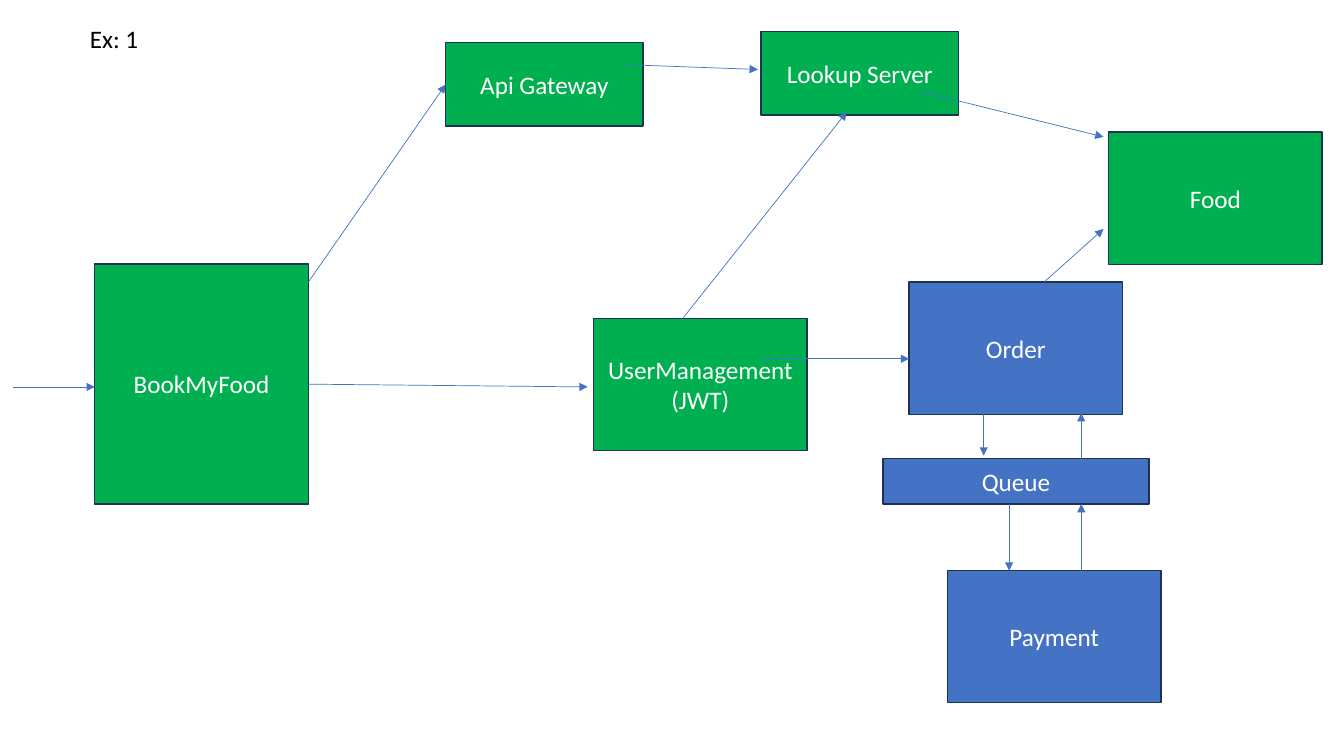
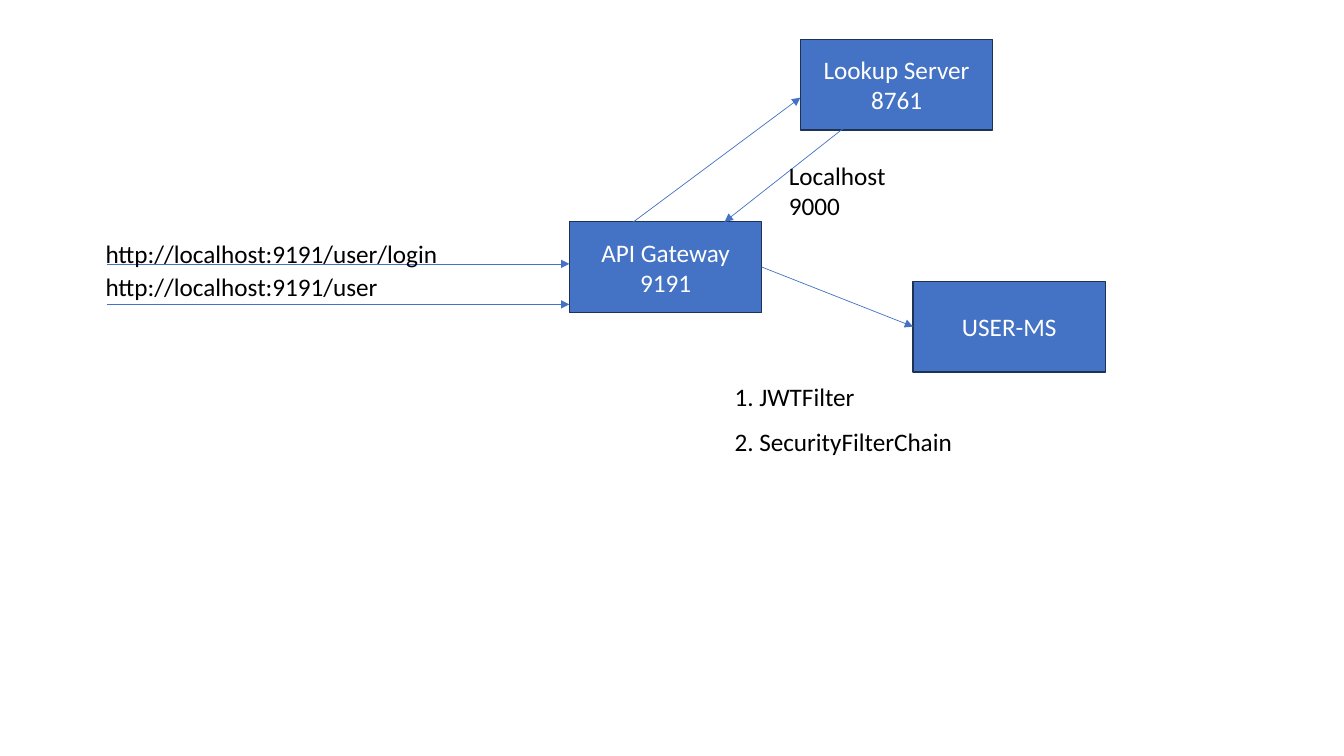
from dataclasses import dataclass
from pptx import Presentation
from pptx import util as u
from pptx.dml.color import RGBColor
from pptx.enum import shapes, text
from pptx.oxml import ns
from lxml import etree


@dataclass(frozen=True)
class Theme:
    green: str = "00B050"
    blue: str = "4472C4"
    edge: str = "1E3256"
    white: str = "FFFFFF"
    black: str = "000000"
    font: str = "Calibri"
    size: int = 18
    border: float = 1
    arrow: float = 0.5
    gap: float = 10.6
    indent: float = 0.62


LOOK = Theme()
NODE, SERVER, PORT = (5.38, 3.33), (4.98, 2.11), (4.85, 2.29)

SERVICES = dict(
    layout=5,
    title=("Ex: 1", (2.01, 0.46, 6.76, 1.02)),
    boxes=[
        ("UserManagement\n(JWT)", LOOK.green, (14.96, 8.03), NODE),
        ("Lookup Server", LOOK.green, (19.18, 0.79), SERVER),
        ("Api Gateway", LOOK.green, (11.23, 1.07), SERVER),
        ("Food", LOOK.green, (27.94, 3.33), NODE),
        ("Payment", LOOK.blue, (23.88, 14.38), NODE),
        ("BookMyFood", LOOK.green, (2.39, 6.65), (5.38, 6.05)),
        ("Order", LOOK.blue, (22.91, 7.11), NODE),
        ("Queue", LOOK.blue, (22.25, 11.56), (6.71, 1.14)),
    ],
    arrows=[
        (7.77, 9.68, 14.81, 9.75),
        (0.33, 9.75, 2.39, 9.75),
        (19.18, 9.04, 22.91, 9.04),
        (24.79, 10.44, 24.79, 11.48),
        (25.43, 12.7, 25.43, 14.38),
        (27.25, 14.38, 27.25, 12.7),
        (27.25, 12.09, 27.25, 10.41),
        (26.31, 7.11, 27.81, 5.77),
        (7.77, 7.11, 11.23, 2.13),
        (17.2, 8.03, 21.34, 2.82),
        (15.8, 1.63, 19.1, 1.75),
        (23.14, 2.29, 27.81, 3.45),
    ],
    labels=[],
    steps=None,
)

ROUTES = dict(
    layout=1,
    title=None,
    boxes=[
        ("API Gateway\n9191", LOOK.blue, (14.35, 5.59), PORT),
        ("Lookup Server\n8761", LOOK.blue, (20.17, 0.99), PORT),
        ("USER-MS", LOOK.blue, (23.01, 7.09), PORT),
    ],
    arrows=[
        (2.69, 6.65, 14.35, 6.65),
        (2.69, 7.67, 14.35, 7.67),
        (15.52, 5.92, 20.17, 2.46),
        (21.49, 3.05, 18.26, 5.59),
        (19.2, 6.73, 23.01, 8.23),
    ],
    labels=[
        ("http://localhost:9191/user/login", (2.41, 5.87, 11.33, 1.02)),
        ("http://localhost:9191/user", (2.41, 6.71, 11.33, 1.02)),
        ("Localhost\n9000", (19.63, 3.91, 5.05, 1.8)),
    ],
    steps=("JWTFilter\nSecurityFilterChain", (18.26, 9.47, 7.19, 2.17)),
)


def cms(vals):
    return [u.Cm(v) for v in vals]


def rgb(tone):
    return RGBColor.from_string(tone)


def write(shape, words, tone, align, anchor):
    frame = shape.text_frame
    frame.text = words
    frame.word_wrap = True
    frame.auto_size = text.MSO_AUTO_SIZE.NONE
    frame.vertical_anchor = anchor
    for para in frame.paragraphs:
        para.alignment = align
        para.space_before = u.Pt(0)
        for run in para.runs:
            run.font.name = LOOK.font
            run.font.size = u.Pt(LOOK.size)
            run.font.color.rgb = rgb(tone)


def note(shape, words):
    write(shape, words, LOOK.black, text.PP_ALIGN.LEFT, text.MSO_ANCHOR.TOP)


def place(shape, area):
    shape.left, shape.top, shape.width, shape.height = cms(area)


def add_box(slide, words, tone, spot, size):
    box = slide.shapes.add_shape(
        shapes.MSO_SHAPE.RECTANGLE, *cms(spot + size))
    box.shadow.inherit = False
    box.fill.solid()
    box.fill.fore_color.rgb = rgb(tone)
    box.line.color.rgb = rgb(LOOK.edge)
    box.line.width = u.Pt(LOOK.border)
    write(box, words, LOOK.white, text.PP_ALIGN.CENTER,
          text.MSO_ANCHOR.MIDDLE)


def add_arrow(slide, ends):
    link = slide.shapes.add_connector(
        shapes.MSO_CONNECTOR.STRAIGHT, *cms(ends))
    link.line.color.rgb = rgb(LOOK.blue)
    link.line.width = u.Pt(LOOK.arrow)
    etree.SubElement(link.line._get_or_add_ln(), ns.qn("a:tailEnd"),
                     type="triangle")
    etree.SubElement(link._element.spPr, ns.qn("a:effectLst"))


def add_steps(body, words, area):
    place(body, area)
    note(body, words)
    for num, para in enumerate(body.text_frame.paragraphs):
        para.space_before = u.Pt(LOOK.gap if num else 0)
        props = para._p.get_or_add_pPr()
        props.set("marL", str(u.Cm(LOOK.indent)))
        props.set("indent", str(-u.Cm(LOOK.indent)))
        etree.SubElement(props, ns.qn("a:buFont"), typeface=LOOK.font)
        etree.SubElement(props, ns.qn("a:buAutoNum"), type="arabicPeriod")


def build(deck, page):
    slide = deck.slides.add_slide(deck.slide_layouts[page["layout"]])
    head = slide.shapes.title
    if page["title"]:
        words, area = page["title"]
        place(head, area)
        note(head, words)
    else:
        head._element.getparent().remove(head._element)
    for box in page["boxes"]:
        add_box(slide, *box)
    for ends in page["arrows"]:
        add_arrow(slide, ends)
    for words, area in page["labels"]:
        note(slide.shapes.add_textbox(*cms(area)), words)
    if page["steps"]:
        add_steps(slide.placeholders[1], *page["steps"])


def main():
    deck = Presentation()
    deck.slide_width, deck.slide_height = cms((33.87, 19.05))
    for page in (SERVICES, ROUTES):
        build(deck, page)
    deck.save("out.pptx")


if __name__ == "__main__":
    main()
